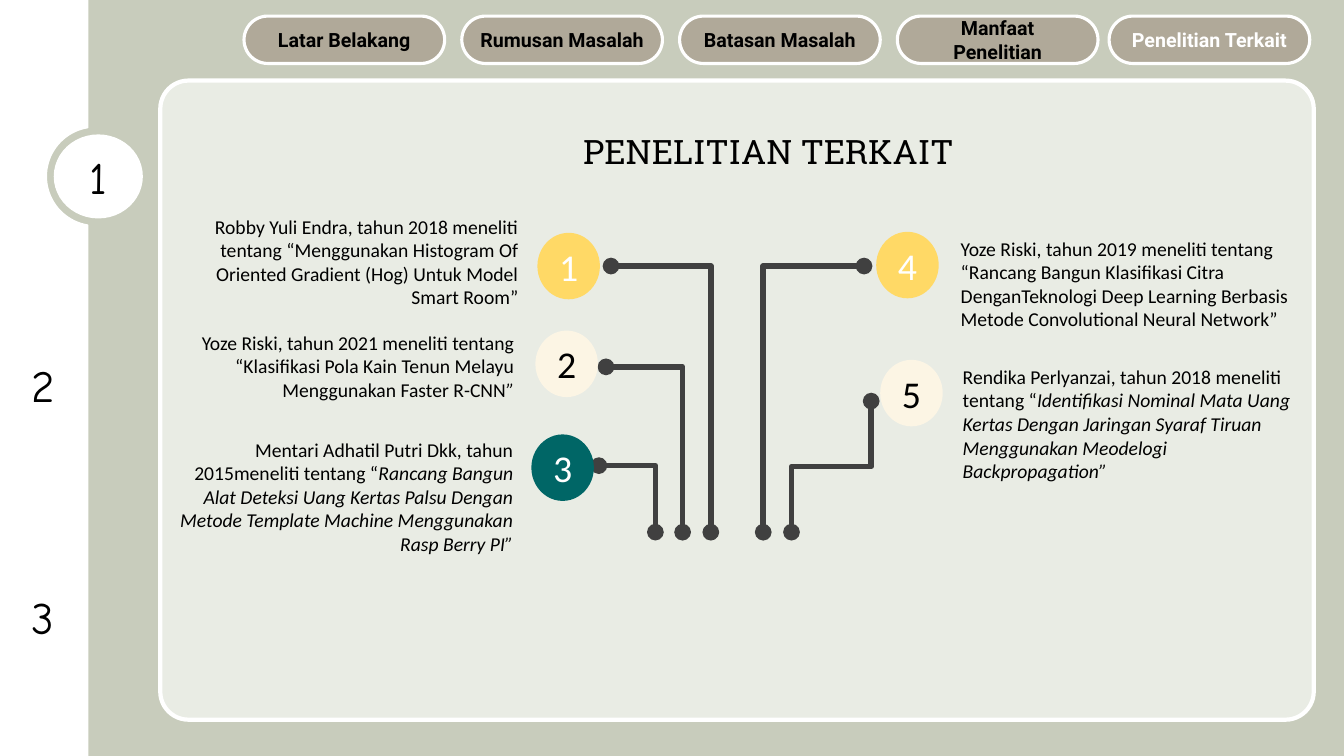
import math

import pptx
import pptx.dml.color
import pptx.enum.shapes
import pptx.enum.text
import pptx.oxml
import pptx.oxml.ns
import pptx.util
from pptx.util import Inches

SHAPE = pptx.enum.shapes.MSO_SHAPE
ALIGN = pptx.enum.text.PP_ALIGN
LEFT, MID, RIGHT = ALIGN.LEFT, ALIGN.CENTER, ALIGN.RIGHT

BLACK, WHITE, GRAY = "000000", "FFFFFF", "404040"
SAGE, PALE, TAUPE = "C8CCBC", "E9ECE4", "B0A999"
GOLD, CREAM, TEAL = "FFD966", "FCF5E4", "006666"

TABS = ["Latar Belakang", "Rumusan Masalah", "Batasan Masalah",
        "Manfaat Penelitian", "Penelitian Terkait"]

# Within the panel: wire foot, wire end, position of the bend
WIRES = [
    ((5.98, 4.48), (6.98, 1.84), 1),
    ((6.26, 4.48), (7.05, 3.18), 0.5),
    ((4.91, 4.48), (4.35, 3.82), 1),
    ((5.46, 4.48), (4.47, 1.84), 1),
    ((5.18, 4.48), (4.42, 2.84), 1),
]

# Within the panel: badge corner, badge fill, digit colour,
# note corner, note height, alignment, plain text, italic text
STUDIES = [
    ((3.74, 1.51), GOLD, WHITE, (0.1, 1.28), 1.04, RIGHT,
     "Robby Yuli Endra, tahun 2018 meneliti tentang “Menggunakan Histogram "
     "Of Oriented Gradient (Hog) Untuk Model Smart Room”", ""),
    ((3.72, 2.48), CREAM, BLACK, (0.06, 2.43), 0.81, RIGHT,
     "Yoze Riski, tahun 2021 meneliti tentang “Klasifikasi Pola Kain Tenun "
     "Melayu Menggunakan Faster R-CNN", "”"),
    ((3.68, 3.51), TEAL, WHITE, (0.05, 3.49), 1.28, RIGHT,
     "Mentari Adhatil Putri Dkk, tahun 2015meneliti tentang “",
     "Rancang Bangun Alat Deteksi Uang Kertas Palsu Dengan Metode Template "
     "Machine Menggunakan Rasp Berry PI”"),
    ((7.1, 1.5), GOLD, WHITE, (7.84, 1.5), 1.04, LEFT,
     "Yoze Riski, tahun 2019 meneliti tentang “Rancang Bangun Klasifikasi "
     "Citra DenganTeknologi Deep Learning Berbasis Metode Convolutional "
     "Neural Network”", ""),
    ((7.14, 2.77), CREAM, BLACK, (7.86, 2.77), 1.28, LEFT,
     "Rendika Perlyanzai, tahun 2018 meneliti tentang “",
     "Identifikasi Nominal Mata Uang Kertas Dengan Jaringan Syaraf Tiruan "
     "Menggunakan Meodelogi Backpropagation”"),
]


def rgb(code):
    return pptx.dml.color.RGBColor.from_string(code)


def write(frame, text, slant="", size=14, font="Calibri", color=BLACK,
          bold=False, align=MID):
    """Fill a text frame with plain text, then slanted text."""
    frame.word_wrap = True
    para = frame.paragraphs[0]
    para.alignment = align
    for part, tilt in ((text, False), (slant, True)):
        if part:
            run = para.add_run()
            run.text = part
            run.font.size = pptx.util.Pt(size)
            run.font.name = font
            run.font.color.rgb = rgb(color)
            run.font.bold = bold
            run.font.italic = tilt


def label(slide, box, text, **style):
    frame = slide.shapes.add_textbox(*map(Inches, box)).text_frame
    write(frame, text, **style)
    frame.auto_size = pptx.enum.text.MSO_AUTO_SIZE.SHAPE_TO_FIT_TEXT


def paint(shape, fill, edge=0):
    """Set a flat fill and a white outline, if its width is given."""
    shape.shadow.inherit = False
    shape.fill.solid()
    shape.fill.fore_color.rgb = rgb(fill)
    if edge:
        shape.line.color.rgb = rgb(WHITE)
        shape.line.width = pptx.util.Pt(edge)
    else:
        shape.line.fill.background()


def block(slide, kind, box, fill, edge=0, bend=None, text="", **style):
    shape = slide.shapes.add_shape(kind, *map(Inches, box))
    paint(shape, fill, edge)
    if bend is not None:
        shape.adjustments[0] = bend
    if text:
        shape.text_frame.vertical_anchor = pptx.enum.text.MSO_ANCHOR.MIDDLE
        write(shape.text_frame, text, **style)


def wire(slide, foot, end, bend):
    """Draw an elbow that leaves its foot upwards, with a dot at each end."""
    wide, tall = end[0] - foot[0], foot[1] - end[1]
    midx, midy = (foot[0] + end[0]) / 2, (foot[1] + end[1]) / 2
    side = math.copysign(tall / 2, wide)
    half = abs(wide) / 2
    line = slide.shapes.add_connector(
        pptx.enum.shapes.MSO_CONNECTOR.ELBOW,
        Inches(midx + side), Inches(midy + half),
        Inches(midx - side), Inches(midy - half))
    line.line.color.rgb = rgb(GRAY)
    line.line.width = pptx.util.Pt(4)
    props = line._element.spPr
    turn = 90 if wide > 0 else 270
    props.find(pptx.oxml.ns.qn("a:xfrm")).set("rot", str(turn * 60000))
    space = pptx.oxml.ns.nsdecls("a")
    guides = props.find(pptx.oxml.ns.qn("a:prstGeom")).get_or_add_avLst()
    guides.append(pptx.oxml.parse_xml(
        f'<a:gd {space} name="adj1" fmla="val {int(bend * 100000)}"/>'))
    stroke = props.find(pptx.oxml.ns.qn("a:ln"))
    for tag in ("headEnd", "tailEnd"):
        stroke.append(pptx.oxml.parse_xml(f'<a:{tag} {space} type="oval"/>'))
    props.append(pptx.oxml.parse_xml(f"<a:effectLst {space}/>"))


def rail(slide, box):
    """Draw the white side strip with a round notch and page numbers."""
    left, top, wide, tall = box
    hubx, huby, rad = left + 0.95, top + 1.75, 0.49
    open_ = math.acos((left + wide - hubx) / rad)
    steps = 40
    notch = []
    for i in range(steps + 1):
        angle = open_ + (2 * math.pi - 2 * open_) * i / steps
        notch.append((hubx + rad * math.cos(angle),
                      huby - rad * math.sin(angle)))
    points = [(left + wide, top), *notch, (left + wide, top + tall),
              (left, top + tall)]
    form = slide.shapes.build_freeform(Inches(left), Inches(top))
    form.add_line_segments([(Inches(x), Inches(y)) for x, y in points])
    paint(form.convert_to_shape(), WHITE, 1)

    style = dict(size=32, font="Comic Neue")
    block(slide, SHAPE.OVAL, (left + 0.54, top + 1.34, 0.87, 0.82),
          WHITE, 1, text="1", **style)
    for i, digit in enumerate("23"):
        label(slide, (left + 0.1, top + 3.5 + 2.3 * i, 0.66, 0.64),
              digit, **style)


def menu(slide, box):
    """Lay the tabs along the box; the last one is active and ends it."""
    left, top, wide, tall = box
    size = 1.99
    for i, name in enumerate(TABS):
        spot = min(left + 2.16 * i, left + wide - size)
        block(slide, SHAPE.ROUNDED_RECTANGLE, (spot, top, size, tall),
              TAUPE, 2.25, bend=0.5, text=name, font="Roboto", bold=True,
              color=WHITE if name == TABS[-1] else BLACK)


def panel(slide, box):
    left, top = box[:2]

    def place(spot):
        return left + spot[0], top + spot[1]

    block(slide, SHAPE.ROUNDED_RECTANGLE, box, PALE, 3, bend=0.044)
    label(slide, (*place((3.62, 0.45)), 4.82, 0.5), "PENELITIAN TERKAIT",
          size=24, font="Roboto Slab")
    for foot, end, bend in WIRES:
        wire(slide, place(foot), place(end), bend)
    for i, study in enumerate(STUDIES, 1):
        badge, fill, ink, note, tall, align, text, slant = study
        block(slide, SHAPE.OVAL, (*place(badge), 0.62, 0.66), fill,
              text=str(i), size=27, color=ink)
        label(slide, (*place(note), 3.55, tall), text, slant=slant,
              align=align)


def main():
    deck = pptx.Presentation()
    deck.slide_width, deck.slide_height = Inches(13.33), Inches(7.5)
    slide = deck.slides.add_slide(deck.slide_layouts[6])
    slide.background.fill.solid()
    slide.background.fill.fore_color.rgb = rgb(SAGE)
    rail(slide, (0, 0, 0.87, 7.5))
    panel(slide, (1.59, 0.8, 11.44, 6.34))
    menu(slide, (2.42, 0.16, 10.57, 0.47))
    deck.save("out.pptx")


if __name__ == "__main__":
    main()
